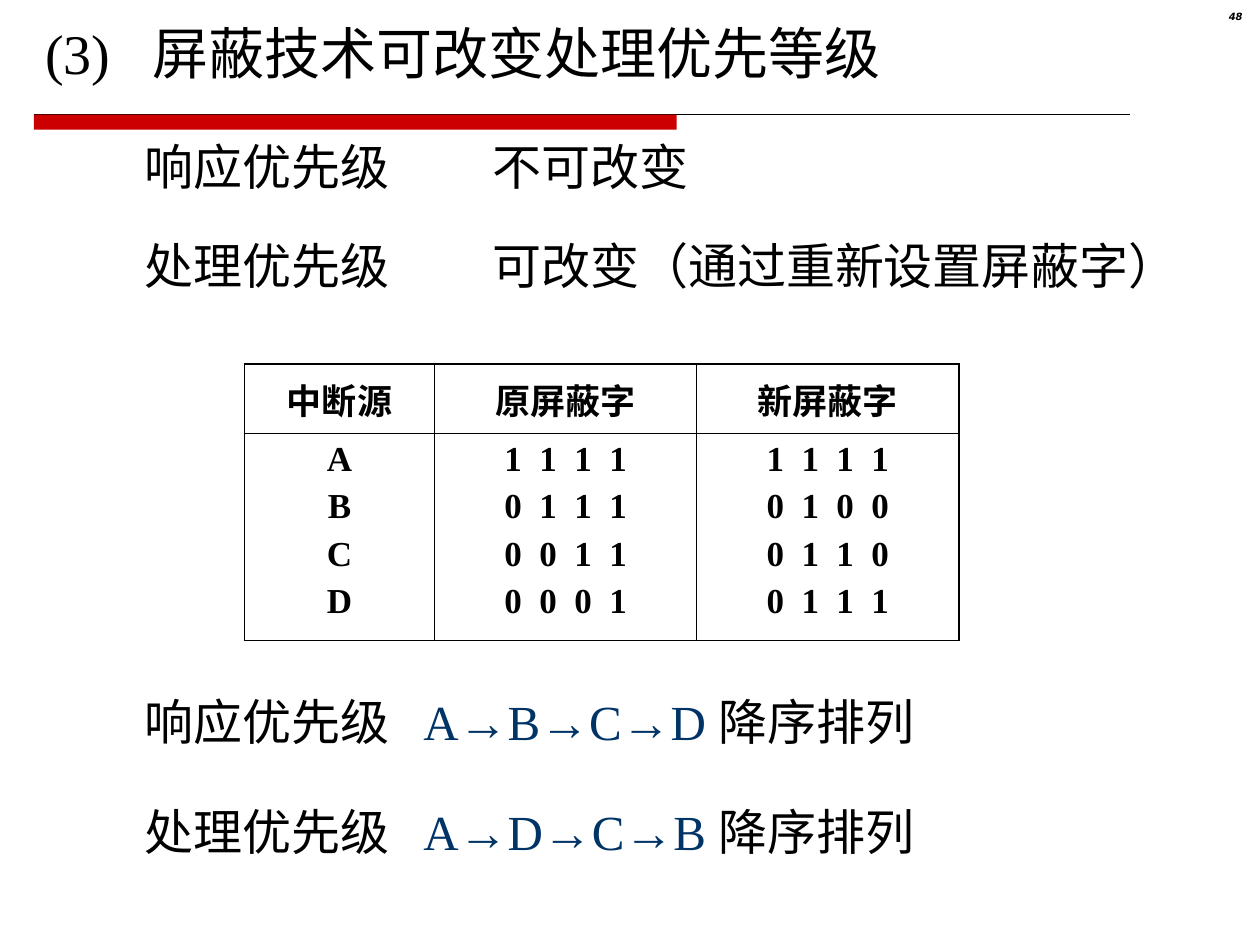
import pptx
import pptx.dml.color
import pptx.enum.shapes
import pptx.enum.text
import pptx.oxml.ns
import pptx.util
from lxml import etree
from pptx.util import Inches

COLORS = {"text": "000000", "bar": "CC0000", "order": "003366"}
SERIF = "Times New Roman"
SOURCES = "ABCD"
OLD_MASKS = ["1111", "0111", "0011", "0001"]
NEW_MASKS = ["1111", "0100", "0110", "0111"]
OUTER, INNER = 1.08, 0.45


def rgb(name):
    """Return the named colour."""
    return pptx.dml.color.RGBColor.from_string(COLORS[name])


def sub(parent, tag, **attrs):
    """Append a DrawingML element to a parent."""
    return etree.SubElement(parent, pptx.oxml.ns.qn(tag), attrs)


def set_font(font, size, bold=False, name=SERIF, color="text"):
    """Set the font of a paragraph or run."""
    font.size = pptx.util.Pt(size)
    font.bold = bold
    font.name = name
    font.color.rgb = rgb(color)


def add_text(s, x, y, w, h, runs, size, tab=None):
    """Place one line of (text, colour) runs in a box without margins."""
    tf = s.shapes.add_textbox(Inches(x), Inches(y), Inches(w), Inches(h)).text_frame
    tf.word_wrap = True
    tf.vertical_anchor = pptx.enum.text.MSO_ANCHOR.MIDDLE
    tf.margin_left = tf.margin_right = tf.margin_top = tf.margin_bottom = 0
    p = tf.paragraphs[0]
    if tab:
        tabs = sub(p._p.get_or_add_pPr(), "a:tabLst")
        sub(tabs, "a:tab", pos=str(Inches(tab)), algn="l")
    set_font(p.font, size)
    for text, color in runs:
        r = p.add_run()
        r.text = text
        if color != "text":
            r.font.color.rgb = rgb(color)


def add_header(s, x, y, w):
    """Draw the title with the bar and rule under it."""
    add_text(s, x + 0.09, y + 0.14, w, 0.55,
             [("(3)\t屏蔽技术可改变处理优先等级", "text")], 32, tab=0.85)
    rule_y = Inches(y + 0.91)
    line = s.shapes.add_connector(pptx.enum.shapes.MSO_CONNECTOR.STRAIGHT,
                                  Inches(x), rule_y, Inches(x + w), rule_y)
    line.line.color.rgb = rgb("text")
    line.line.width = pptx.util.Pt(0.75)
    sub(line._element.spPr, "a:effectLst")
    bar = s.shapes.add_shape(pptx.enum.shapes.MSO_SHAPE.RECTANGLE,
                             Inches(x), rule_y, Inches(5.1), Inches(0.12))
    bar.shadow.inherit = False
    bar.fill.solid()
    bar.fill.fore_color.rgb = rgb("bar")
    bar.line.fill.background()


def add_page_number(s, x, y, w, h):
    """Write the page number at the right of its box."""
    tf = s.shapes.add_textbox(Inches(x), Inches(y), Inches(w), Inches(h)).text_frame
    tf.word_wrap = True
    p = tf.paragraphs[0]
    p.text = "48"
    p.alignment = pptx.enum.text.PP_ALIGN.RIGHT
    p.line_spacing = 0.8
    set_font(p.font, 5.7, True, "DejaVu Sans")
    p.font.italic = True


def add_rules(s, x, y):
    """State which priority can be changed, in two columns."""
    rules = [("响应优先级", "不可改变"), ("处理优先级", "可改变（通过重新设置屏蔽字）")]
    for i, (label, rule) in enumerate(rules):
        add_text(s, x, y + i * 0.79, 2.34, 0.47, [(label, "text")], 28)
        add_text(s, x + 2.76, y + i * 0.79, 5.6, 0.47, [(rule, "text")], 28)


def add_orders(s, x, y):
    """List the order of the sources for each priority."""
    orders = [("响应优先级", "ABCD"), ("处理优先级", "ADCB")]
    for i, (label, order) in enumerate(orders):
        runs = [(label + "\t", "text"), ("→".join(order) + " ", "order"), ("降序排列", "text")]
        add_text(s, x, y + i * 0.87, 7.17, 0.47, runs, 28, tab=2.21)


def set_borders(cell, widths):
    """Draw the left, right, top and bottom borders of a cell."""
    tc_pr = cell._tc.get_or_add_tcPr()
    for side, width in zip("LRTB", widths):
        ln = sub(tc_pr, "a:ln" + side, w=str(pptx.util.Pt(width)))
        sub(sub(ln, "a:solidFill"), "a:srgbClr", val=COLORS["text"])


def fill_cell(cell, lines):
    """Write centred bold lines in a cell, with spread-out digits."""
    tf = cell.text_frame
    for i, text in enumerate(lines):
        p = tf.paragraphs[0] if i == 0 else tf.add_paragraph()
        p.alignment = pptx.enum.text.PP_ALIGN.CENTER
        p.space_before = pptx.util.Pt(5 if i else 0)
        set_font(p.font, 20, True)
        r = p.add_run()
        r.text = " ".join(text) if text.isdigit() else text
        if text.isdigit():
            r._r.get_or_add_rPr().set("spc", "250")


def add_mask_table(s, x, y):
    """Build the table of old and new mask words."""
    columns = [("中断源", SOURCES, 1.51), ("原屏蔽字", OLD_MASKS, 2.08),
               ("新屏蔽字", NEW_MASKS, 2.08)]
    heights = [0.55, 1.64]
    total = sum(width for _, _, width in columns)
    table = s.shapes.add_table(2, 3, Inches(x), Inches(y),
                               Inches(total), Inches(sum(heights))).table
    table.first_row = table.horz_banding = False
    for row, height in zip(table.rows, heights):
        row.height = Inches(height)
    for c, (head, values, width) in enumerate(columns):
        table.columns[c].width = Inches(width)
        for r, lines in enumerate([[head], values]):
            cell = table.cell(r, c)
            edges = [c == 0, c == 2, r == 0, r == 1]
            set_borders(cell, [OUTER if edge else INNER for edge in edges])
            cell.fill.background()
            cell.vertical_anchor = (pptx.enum.text.MSO_ANCHOR.TOP if r
                                    else pptx.enum.text.MSO_ANCHOR.MIDDLE)
            fill_cell(cell, lines)


def main():
    """Build the slide and save it."""
    prs = pptx.Presentation()
    prs.slide_width, prs.slide_height = Inches(10), Inches(7.5)
    s = prs.slides.add_slide(prs.slide_layouts[6])
    add_header(s, 0.27, 0, 8.7)
    add_page_number(s, 9.37, 0.05, 0.59, 0.23)
    add_rules(s, 1.15, 1.08)
    add_mask_table(s, 1.94, 2.89)
    add_orders(s, 1.15, 5.49)
    prs.save("out.pptx")


if __name__ == "__main__":
    main()
